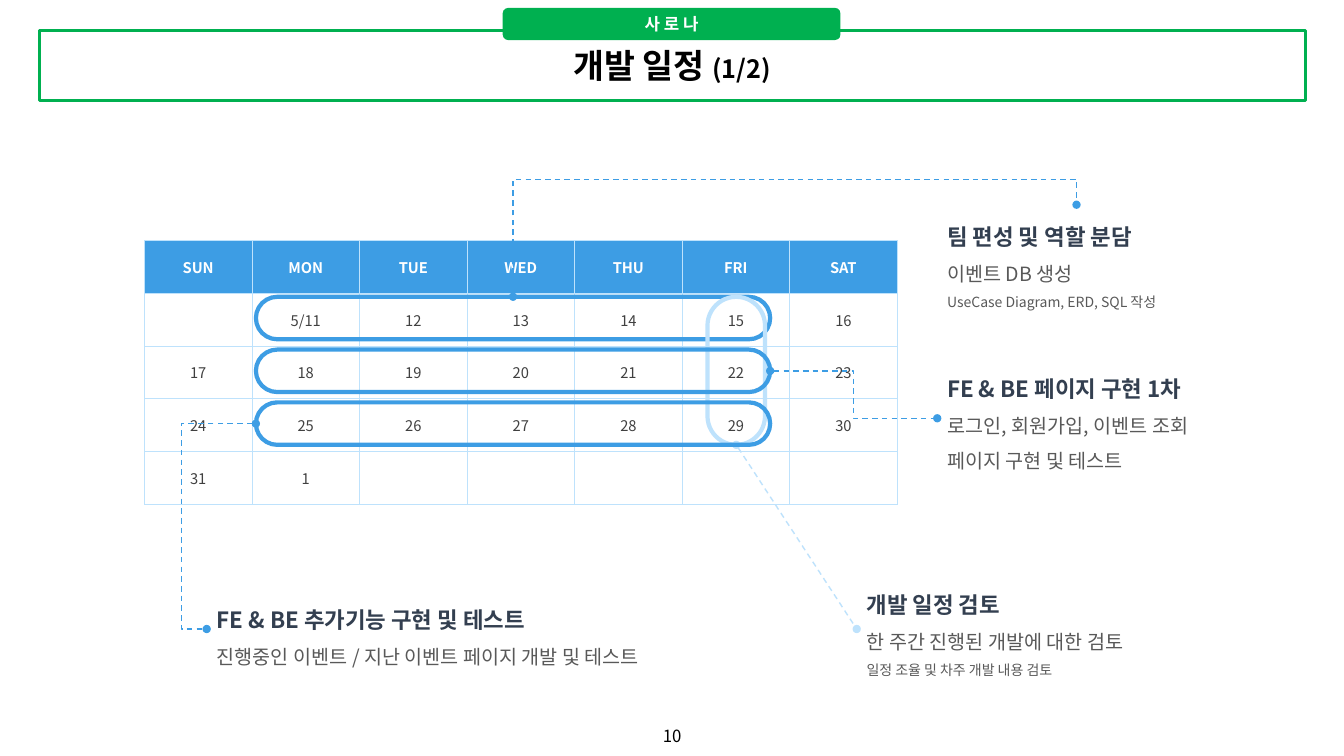
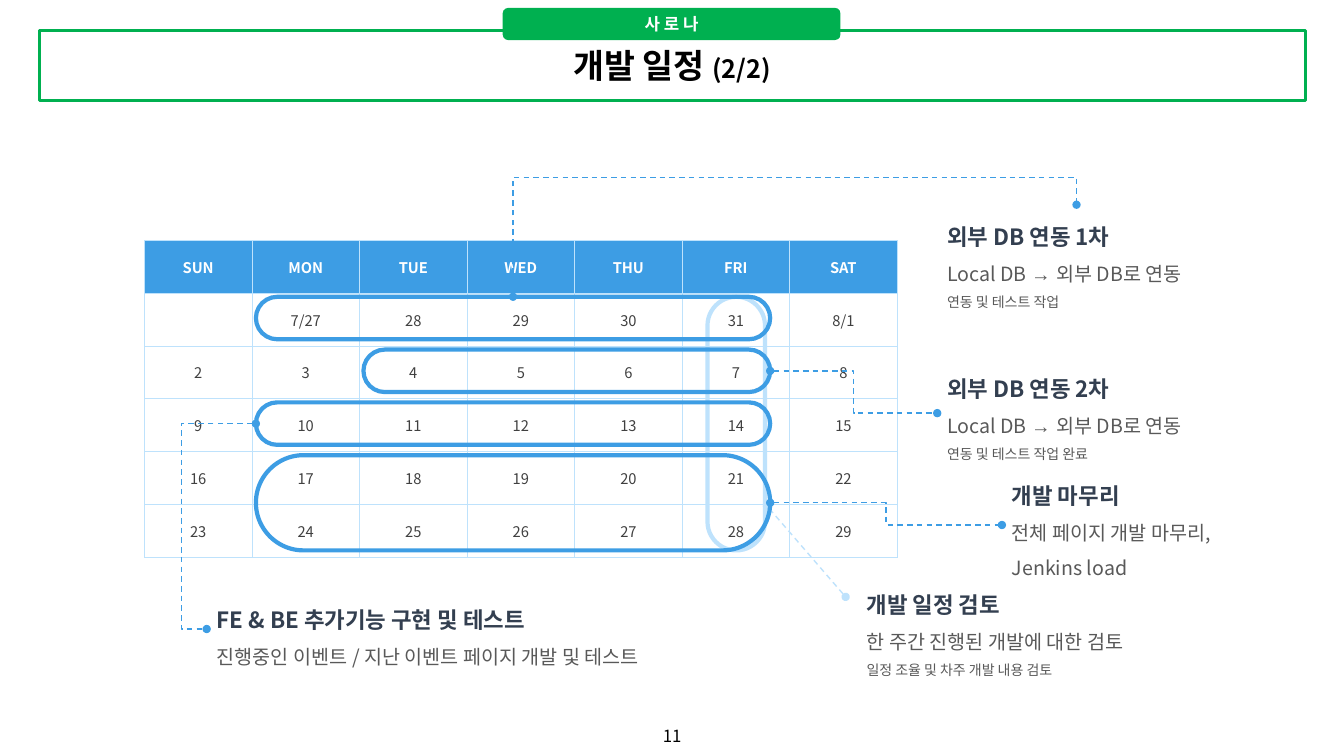
from copy import deepcopy
from pptx import Presentation
from pptx.dml.color import RGBColor
from pptx.enum.dml import MSO_LINE
from pptx.enum.shapes import MSO_CONNECTOR as LINK, MSO_SHAPE as SHAPE, PP_PLACEHOLDER as HOLD
from pptx.enum.text import MSO_ANCHOR as ANCHOR, MSO_AUTO_SIZE as AUTO, PP_ALIGN as ALIGN
from pptx.oxml import parse_xml
from pptx.oxml.ns import nsdecls, qn
from pptx.util import Cm, Pt

GREEN = RGBColor(0x00, 0xB0, 0x50)
BLUE = RGBColor(0x3D, 0x9D, 0xE4)
PALE = RGBColor(0xBE, 0xE2, 0xFC)
NAVY = RGBColor(0x33, 0x3F, 0x50)
GRAY = RGBColor(0x59, 0x59, 0x59)
DARK = RGBColor(0x40, 0x40, 0x40)
WHITE = RGBColor(0xFF, 0xFF, 0xFF)
BLACK = RGBColor(0, 0, 0)
FONT, ARROW = "Noto Sans CJK KR", "→ "

# Calendar grid and pill margins, in cm
LEFT, TOP, COL, ROW = 3.64, 6.06, 2.71, 1.33
FRI = 5
DAYS = ["SUN", "MON", "TUE", "WED", "THU", "FRI", "SAT"]

# Notes: text lines and box (left, top, width, height)
REVIEW = (["개발 일정 검토", "한 주간 진행된 개발에 대한 검토", "일정 조율 및 차주 개발 내용 검토"],
          (21.59, 14.43, 8.81, 2.82))
EXTRA = (["FE & BE 추가기능 구현 및 테스트", "진행중인 이벤트 / 지난 이벤트 페이지 개발 및 테스트"],
         (5.21, 14.81, 13.06, 2.11))

# Events: pill (column, row, columns, rows), link start, link end, bend, note
EXTRA_EVENT = ((1, 3, 5, 1), "left", (5.21, 15.85), 4.57, EXTRA)
PLANS = [
    dict(
        part="(1/2)",
        weeks=[["", "5/11", "12", "13", "14", "15", "16"],
               ["17", "18", "19", "20", "21", "22", "23"],
               ["24", "25", "26", "27", "28", "29", "30"],
               ["31", "1", "", "", "", "", ""]],
        events=[
            ((1, 1, 5, 1), "top", (27.13, 5.16), 4.52,
             (["팀 편성 및 역할 분담", "이벤트 DB 생성", "UseCase Diagram, ERD, SQL 작성"],
              (23.62, 5.16, 7.04, 2.82))),
            ((FRI, 1, 1, 3), "bottom", (21.59, 15.85), None, REVIEW),
            ((1, 2, 5, 1), "right", (23.62, 10.54), 21.51,
             (["FE & BE 페이지 구현 1차", "로그인, 회원가입, 이벤트 조회 페이지 구현 및 테스트"],
              (23.62, 8.99, 7.9, 3.07))),
            EXTRA_EVENT,
        ]),
    dict(
        part="(2/2)",
        weeks=[["", "7/27", "28", "29", "30", "31", "8/1"],
               ["2", "3", "4", "5", "6", "7", "8"],
               ["9", "10", "11", "12", "13", "14", "15"],
               ["16", "17", "18", "19", "20", "21", "22"],
               ["23", "24", "25", "26", "27", "28", "29"]],
        events=[
            ((FRI, 1, 1, 5), (19.33, 12.75), (21.31, 15.04), None, REVIEW),
            ((1, 1, 5, 1), "top", (27.13, 5.16), 4.47,
             (["외부 DB 연동 1차", "Local DB → 외부 DB로 연동", "연동 및 테스트 작업"],
              (23.62, 5.16, 7.04, 2.82))),
            ((2, 2, 4, 1), "right", (23.62, 10.41), 21.51,
             (["외부 DB 연동 2차", "Local DB → 외부 DB로 연동", "연동 및 테스트 작업 완료"],
              (23.62, 8.99, 7.04, 2.82))),
            EXTRA_EVENT,
            ((1, 4, 5, 2), "right", (25.25, 13.23), 22.33,
             (["개발 마무리", "전체 페이지 개발 마무리, Jenkins load"],
              (25.25, 11.68, 7.04, 3.07))),
        ]),
]
NOTE_STYLE = [(16, NAVY, True), (14, GRAY, False), (10, GRAY, False)]


def cms(*vals):
    return [Cm(v) for v in vals]


def add_run(para, text, size, color, bold=False, face=FONT):
    run = para.add_run()
    run.text = text
    font = run.font
    font.size, font.bold, font.name = Pt(size), bold, face
    font.color.rgb = color
    run._r.get_or_add_rPr().append(
        parse_xml(f'<a:ea {nsdecls("a")} typeface="{face}"/>'))
    return run


def set_box(shape, left, top, width, height):
    shape.left, shape.top, shape.width, shape.height = cms(left, top, width, height)


def add_number(slide, num):
    base = next(s for s in slide.slide_layout.placeholders
                if s.placeholder_format.type == HOLD.SLIDE_NUMBER)
    slide.shapes.element.append(deepcopy(base.element))
    shape = slide.shapes[-1]
    set_box(shape, 13.13, 18.03, 7.62, 1.02)
    frame = shape.text_frame
    frame.text = ""
    frame.vertical_anchor = ANCHOR.MIDDLE
    para = frame.paragraphs[0]
    para.alignment = ALIGN.CENTER
    field = add_run(para, str(num), 12, BLACK)._r
    field.tag = qn("a:fld")
    field.set("id", "{B6F15528-21DE-4FAA-801E-634DDDAF4B2B}")
    field.set("type", "slidenum")


def add_header(slide, part):
    title = slide.shapes.title
    set_box(title, 0.99, 0.76, 31.9, 1.78)
    title.fill.solid()
    title.fill.fore_color.rgb = WHITE
    title.line.color.rgb, title.line.width = GREEN, Pt(2.25)
    title.text_frame.vertical_anchor = ANCHOR.MIDDLE
    para = title.text_frame.paragraphs[0]
    para.alignment = ALIGN.CENTER
    add_run(para, "개발 일정 ", 24, BLACK, True)
    add_run(para, part, 18, BLACK, True)

    tab = slide.shapes.add_shape(SHAPE.ROUNDED_RECTANGLE, *cms(12.67, 0.2, 8.51, 0.81))
    tab.shadow.inherit = False
    tab.fill.solid()
    tab.fill.fore_color.rgb = GREEN
    tab.line.fill.background()
    frame = tab.text_frame
    frame.word_wrap, frame.vertical_anchor = False, ANCHOR.MIDDLE
    frame.paragraphs[0].alignment = ALIGN.CENTER
    add_run(frame.paragraphs[0], "사 로 나", 12, WHITE, True)


def add_month(slide, weeks):
    rows = [DAYS] + weeks
    table = slide.shapes.add_table(
        len(rows), len(DAYS),
        *cms(LEFT, TOP, COL * len(DAYS), ROW * len(rows))).table
    table.horz_banding = False
    for col in table.columns:
        col.width = Cm(COL)
    for r, row in enumerate(rows):
        table.rows[r].height = Cm(ROW)
        for c, text in enumerate(row):
            cell = table.cell(r, c)
            cell.vertical_anchor = ANCHOR.MIDDLE
            cell.fill.solid()
            cell.fill.fore_color.rgb = WHITE if r else BLUE
            props = cell._tc.get_or_add_tcPr()
            for i, side in enumerate("LRTB"):
                props.insert(i, parse_xml(
                    f'<a:ln{side} {nsdecls("a")} w="{Pt(0.75)}"><a:solidFill>'
                    f'<a:srgbClr val="{PALE}"/></a:solidFill></a:ln{side}>'))
            if text:
                para = cell.text_frame.paragraphs[0]
                para.alignment = ALIGN.CENTER
                add_run(para, text, 10.5, DARK if r else WHITE, not r)


def add_pill(slide, area, color):
    col, row, cols, rows = area
    near, far = (0.64, 0.62) if col == FRI else (0.1, 0.49)
    x, y = LEFT + col * COL + near, TOP + row * ROW + 0.09
    w, h = cols * COL - near - far, rows * ROW - 0.26
    pill = slide.shapes.add_shape(SHAPE.ROUNDED_RECTANGLE, *cms(x, y, w, h))
    pill.adjustments[0] = 0.5
    pill.shadow.inherit = False
    pill.fill.background()
    pill.line.color.rgb, pill.line.width = color, Pt(3)
    return {"top": (x + w / 2, y), "bottom": (x + w / 2, y + h),
            "left": (x, y + h / 2), "right": (x + w, y + h / 2)}


def add_link(slide, start, end, bend, upright, color):
    (x1, y1), (x2, y2) = start, end
    ends = (x1, y1, x2, y2)
    if upright:  # box of a link turned by 90 degrees
        mx, my, dx, dy = (x1 + x2) / 2, (y1 + y2) / 2, (x2 - x1) / 2, (y1 - y2) / 2
        ends = (mx + dy, my + dx, mx - dy, my - dx)
    kind = LINK.ELBOW if bend else LINK.STRAIGHT
    link = slide.shapes.add_connector(kind, *cms(*ends))
    props = link.element.spPr
    if upright:
        props.find(qn("a:xfrm")).set("rot", "5400000")
    if bend:
        a, b = (y1, y2) if upright else (x1, x2)
        ratio = round((bend - a) / (b - a) * 100000)
        props.find(".//" + qn("a:avLst")).append(parse_xml(
            f'<a:gd {nsdecls("a")} name="adj1" fmla="val {ratio}"/>'))
    link.line.color.rgb, link.line.width = color, Pt(1)
    link.line.dash_style = MSO_LINE.DASH
    for tip in ("headEnd", "tailEnd"):
        props.find(qn("a:ln")).append(parse_xml(f'<a:{tip} {nsdecls("a")} type="oval"/>'))
    props.append(parse_xml(f'<a:effectLst {nsdecls("a")}/>'))


def add_note(slide, lines, box):
    frame = slide.shapes.add_textbox(*cms(*box)).text_frame
    frame.word_wrap, frame.auto_size = True, AUTO.SHAPE_TO_FIT_TEXT
    for i, (line, style) in enumerate(zip(lines, NOTE_STYLE)):
        para = frame.add_paragraph() if i else frame.paragraphs[0]
        para.line_spacing = 1.5
        for text in filter(None, line.partition(ARROW)):
            add_run(para, text, *style, face="Arial" if text == ARROW else FONT)


def main():
    prs = Presentation()
    prs.slide_width, prs.slide_height = cms(33.87, 19.05)
    first = 10
    prs.element.set("firstSlideNum", str(first))
    for num, plan in enumerate(PLANS, first):
        slide = prs.slides.add_slide(prs.slide_layouts[5])
        add_number(slide, num)
        add_header(slide, plan["part"])
        add_month(slide, plan["weeks"])
        for area, start, end, bend, note in plan["events"]:
            color = PALE if area[0] == FRI else BLUE
            sides = add_pill(slide, area, color)
            add_link(slide, sides.get(start, start), end, bend, start == "top", color)
            add_note(slide, *note)
    prs.save("out.pptx")


if __name__ == "__main__":
    main()
